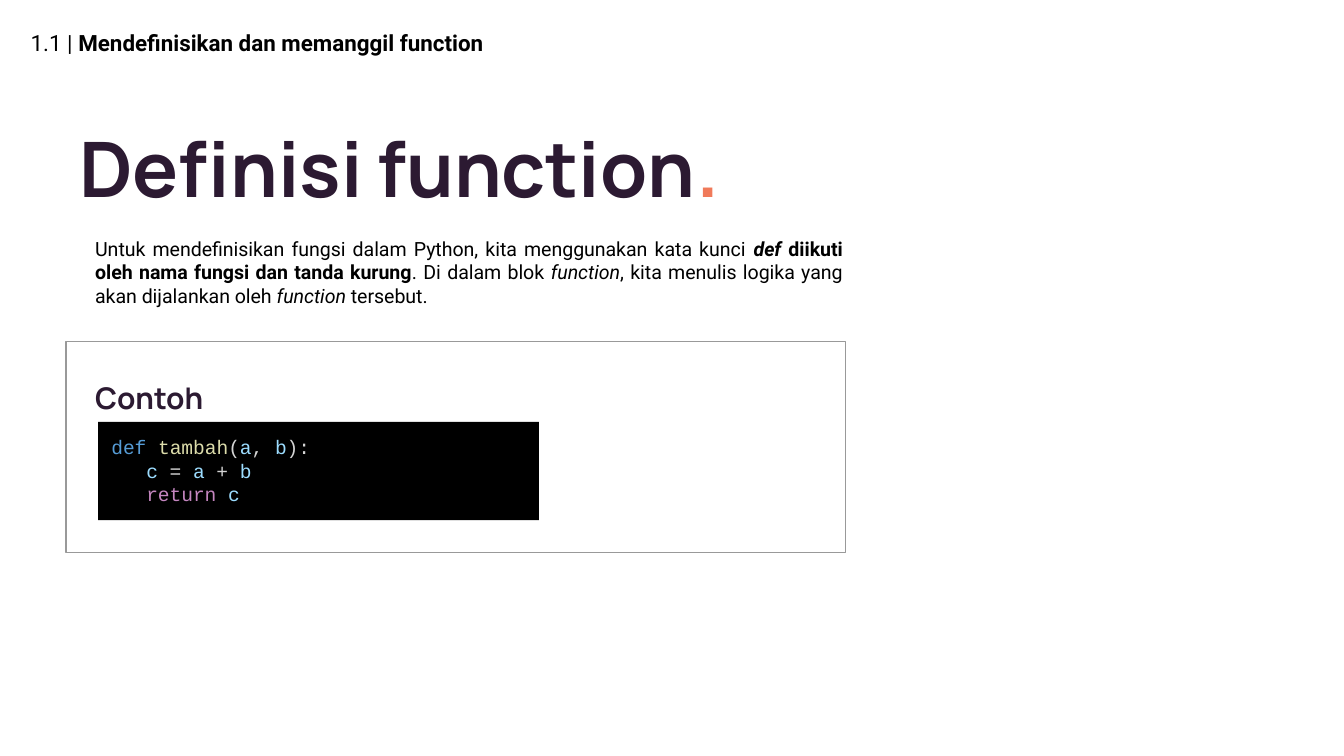
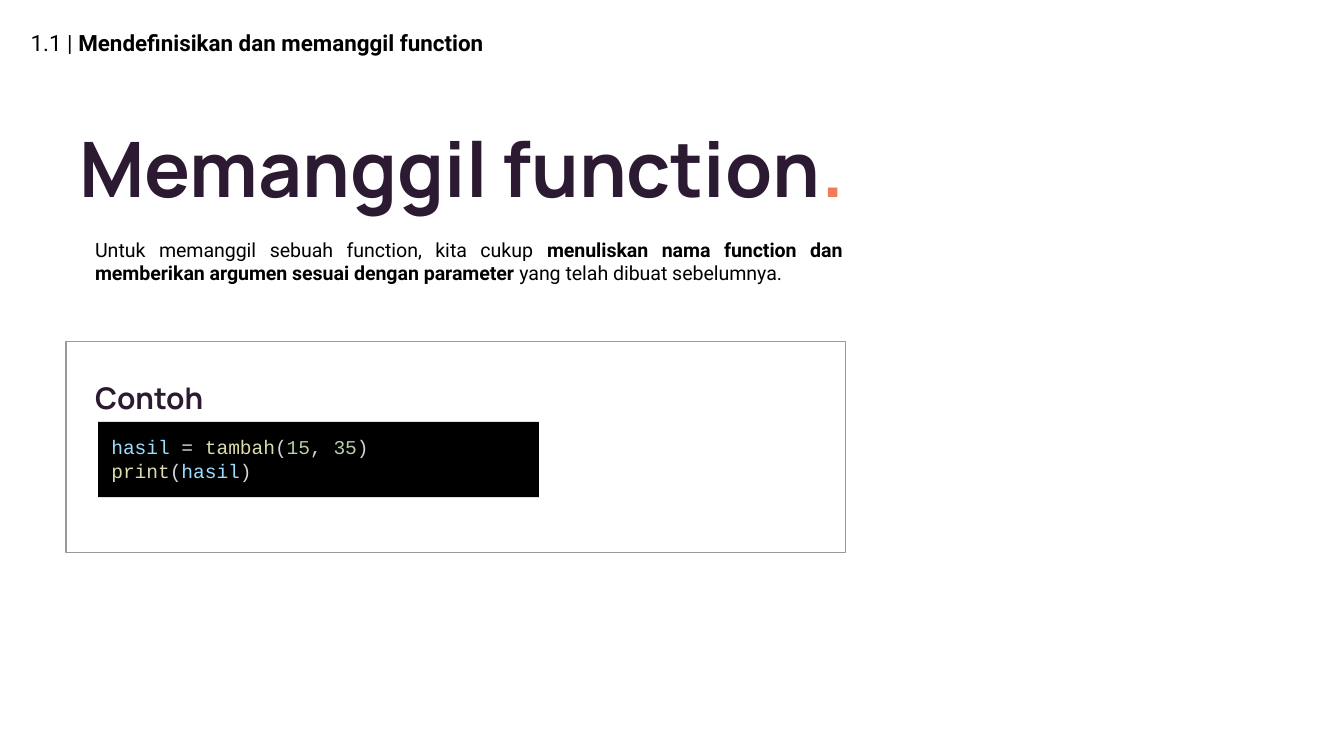
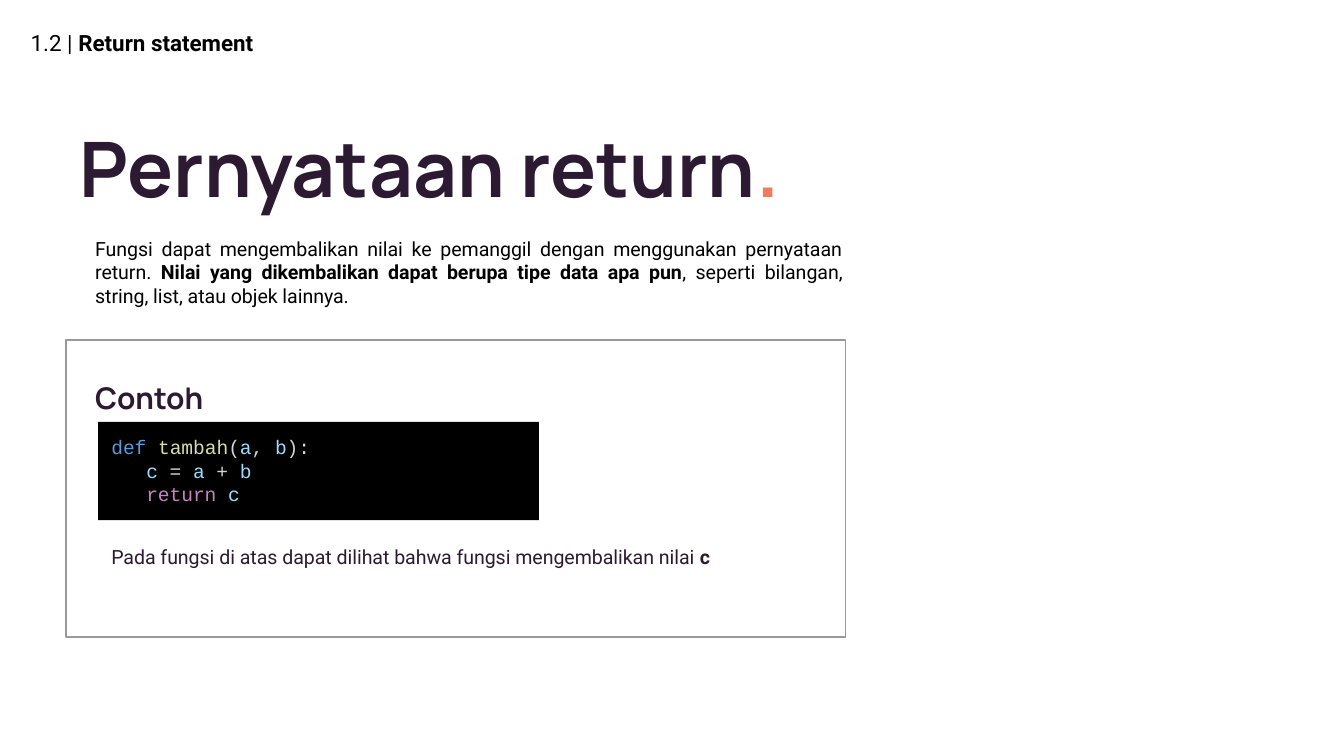
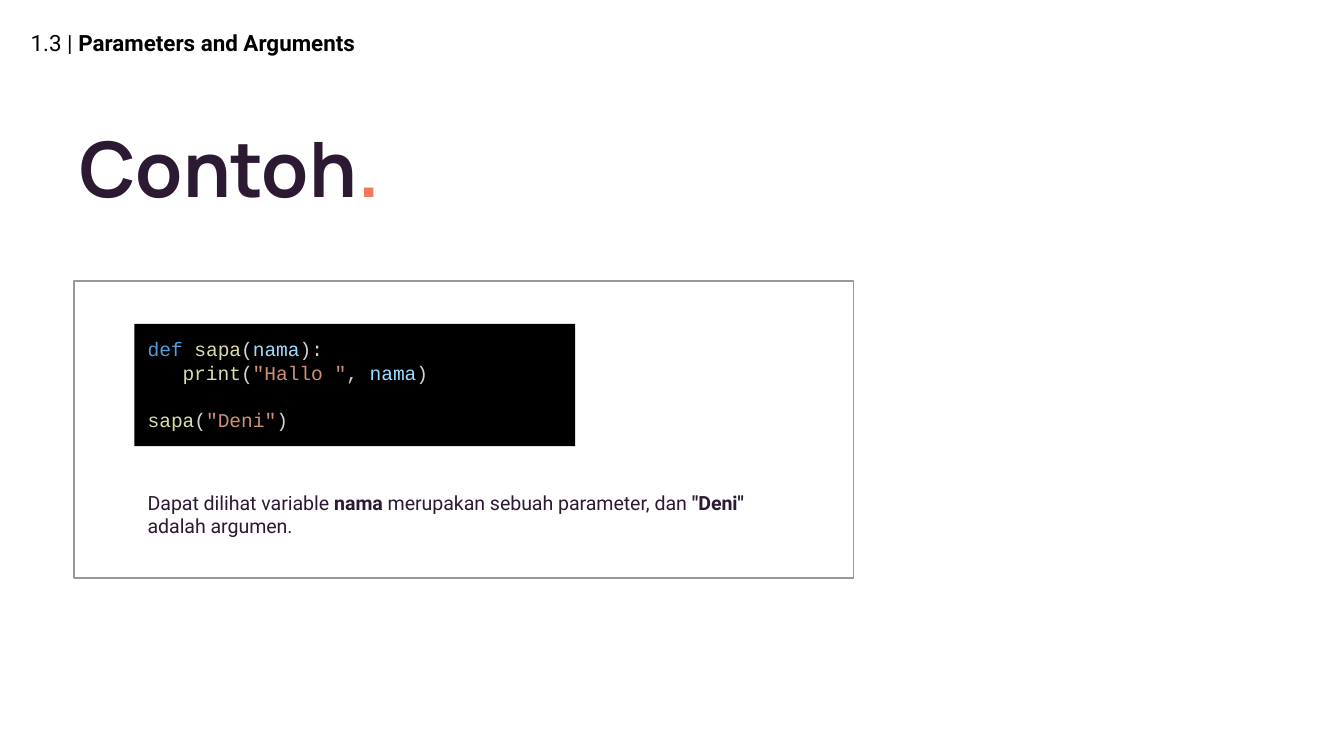
"""Build four slides on defining, calling and returning from Python functions."""
from pptx import Presentation
from pptx import util as u
from pptx.dml.color import RGBColor
from pptx.enum import shapes, text

BLACK = RGBColor(0, 0, 0)
PLUM = RGBColor(0x2C, 0x1A, 0x32)
CORAL = RGBColor(0xF0, 0x7A, 0x5A)
GREY = RGBColor(0x99, 0x99, 0x99)
CODE_PLAIN = RGBColor(0xD4, 0xD4, 0xD4)
CODE_KEYWORD = RGBColor(0x56, 0x9C, 0xD6)
CODE_RETURN = RGBColor(0xC5, 0x86, 0xC0)
CODE_FUNCTION = RGBColor(0xDC, 0xDC, 0xAA)
CODE_VARIABLE = RGBColor(0x9C, 0xDC, 0xFE)
CODE_NUMBER = RGBColor(0xB5, 0xCE, 0xA8)
CODE_STRING = RGBColor(0xCE, 0x91, 0x78)

TOKEN_COLOURS = {"def": CODE_KEYWORD, "return": CODE_RETURN}
TOKEN_COLOURS.update(dict.fromkeys(["tambah", "sapa", "print"], CODE_FUNCTION))
TOKEN_COLOURS.update(dict.fromkeys(["a", "b", "c", "hasil", "nama"], CODE_VARIABLE))
TOKEN_COLOURS.update(dict.fromkeys(["15", "35"], CODE_NUMBER))
TOKEN_COLOURS.update(dict.fromkeys(['"Hallo "', '"Deni"'], CODE_STRING))

INDENT = u.Inches(0.26)
CODE_LINE = u.Pt(12.6)
ADD_CODE = [
    (0, 0, ["def", " ", "tambah", "(", "a", ", ", "b", "):"]),
    (INDENT, 0, ["c", " = ", "a", " + ", "b"]),
    (INDENT, 0, ["return", " ", "c"]),
]
CALL_CODE = [
    (0, 0, ["hasil", " = ", "tambah", "(", "15", ", ", "35", ")"]),
    (0, 0, ["print", "(", "hasil", ")"]),
]
GREET_CODE = [
    (0, 0, ["def", " ", "sapa", "(", "nama", "):"]),
    (INDENT, 0, ["print", "(", '"Hallo "', ", ", "nama", ")"]),
    (0, CODE_LINE, ["sapa", "(", '"Deni"', ")"]),
]

PAGES = [
    {
        "section": ("1.1 |", " Mendefinisikan dan memanggil function"),
        "title": "Definisi function",
        "frame": (0.49, 2.54, 5.8, 1.57),
        "intro_top": 1.66,
        "intro": [
            ("Untuk mendefinisikan fungsi dalam Python, kita menggunakan kata kunci ", ""),
            ("def ", "bi"),
            ("diikuti oleh nama fungsi dan tanda kurung", "b"),
            (". Di dalam blok ", ""),
            ("function", "i"),
            (", kita menulis logika yang akan dijalankan oleh ", ""),
            ("function", "i"),
            (" tersebut.", ""),
        ],
        "code": ADD_CODE,
        "code_box": (0.73, 3.14, 3.28, 0.73),
    },
    {
        "section": ("1.1 |", " Mendefinisikan dan memanggil function"),
        "title": "Memanggil function",
        "frame": (0.49, 2.54, 5.8, 1.57),
        "intro_top": 1.67,
        "intro": [
            ("Untuk memanggil sebuah function, kita cukup ", ""),
            ("menuliskan nama function dan memberikan argumen sesuai dengan parameter", "b"),
            (" yang telah dibuat sebelumnya.", ""),
        ],
        "code": CALL_CODE,
        "code_box": (0.73, 3.14, 3.28, 0.56),
    },
    {
        "section": ("1.2 |", " Return statement"),
        "title": "Pernyataan return",
        "frame": (0.49, 2.53, 5.8, 2.21),
        "intro_top": 1.66,
        "intro": [
            ("Fungsi dapat mengembalikan nilai ke pemanggil dengan menggunakan "
             "pernyataan return. ", ""),
            ("Nilai yang dikembalikan dapat berupa tipe data apa pun", "b"),
            (", seperti bilangan, string, list, atau objek lainnya.", ""),
        ],
        "code": ADD_CODE,
        "code_box": (0.73, 3.14, 3.28, 0.73),
        "remark_box": (0.73, 3.97, 4.99, 0.38),
        "remark": [
            ("Pada fungsi di atas dapat dilihat bahwa fungsi mengembalikan nilai ", ""),
            ("c", "b"),
        ],
    },
    {
        "section": ("1.3 |", " Parameters and Arguments"),
        "title": "Contoh",
        "frame": (0.55, 2.09, 5.8, 2.21),
        "code": GREET_CODE,
        "code_box": (1, 2.41, 3.28, 0.91),
        "remark_box": (1, 3.55, 4.99, 0.56),
        "remark": [
            ("Dapat dilihat variable ", ""),
            ("nama", "b"),
            (" merupakan sebuah parameter, dan ", ""),
            ('"Deni"', "b"),
            (" adalah argumen.", ""),
        ],
    },
]


def set_frame(box, anchor, grow=False):
    """Give a box even insets, wrapping and an anchor, and return its text frame."""
    frame = box.text_frame
    frame.margin_left = frame.margin_right = u.Inches(0.1)
    frame.margin_top = frame.margin_bottom = u.Inches(0.1)
    frame.word_wrap = True
    frame.vertical_anchor = anchor
    fit = text.MSO_AUTO_SIZE
    frame.auto_size = fit.SHAPE_TO_FIT_TEXT if grow else fit.NONE
    return frame


def write(para, spans, font, size, colour):
    """Write (text, style) spans, where a style may hold b for bold and i for italic."""
    para.font.name = font
    para.font.size = u.Pt(size)
    para.font.color.rgb = colour
    for words, style in spans:
        span = para.add_run()
        span.text = words
        span.font.name = font
        span.font.size = u.Pt(size)
        span.font.color.rgb = colour
        span.font.bold = "b" in style
        span.font.italic = "i" in style


deck = Presentation()
deck.slide_width = u.Inches(10)
deck.slide_height = deck.slide_width * 9 // 16
TOP, MIDDLE = text.MSO_ANCHOR.TOP, text.MSO_ANCHOR.MIDDLE

for content in PAGES:
    page = deck.slides.add_slide(deck.slide_layouts[5])

    border = page.shapes.add_shape(
        shapes.MSO_SHAPE.RECTANGLE, *map(u.Inches, content["frame"]))
    border.shadow.inherit = False
    border.fill.background()
    border.line.color.rgb = GREY
    border.line.width = u.Pt(0.75)

    section = page.shapes.add_textbox(*map(u.Inches, (0.13, 0.07, 4.56, 0.5)))
    number, name = content["section"]
    write(set_frame(section, MIDDLE).paragraphs[0],
          [(number, ""), (name, "b")], "Roboto", 12, BLACK)

    title = page.shapes.title
    title.left, title.top, title.width, title.height = map(
        u.Inches, (0.49, 0.52, 7.6, 1.57))
    para = set_frame(title, MIDDLE).paragraphs[0]
    para.alignment = text.PP_ALIGN.LEFT
    para.line_spacing = 0.8
    write(para, [(content["title"], "b"), (".", "b")], "Manrope", 41, PLUM)
    para.runs[-1].font.color.rgb = CORAL

    if "intro" in content:
        intro = page.shapes.add_textbox(
            *map(u.Inches, (0.61, content["intro_top"], 5.76, 0.73)))
        para = set_frame(intro, TOP, grow=True).paragraphs[0]
        para.alignment = text.PP_ALIGN.JUSTIFY
        write(para, content["intro"], "Roboto", 10.5, BLACK)

        heading = page.shapes.add_textbox(*map(u.Inches, (0.61, 2.71, 4.56, 0.54)))
        para = set_frame(heading, MIDDLE).paragraphs[0]
        para.line_spacing = 0.8
        write(para, [("Contoh", "b")], "Manrope", 16, PLUM)

    code = page.shapes.add_shape(
        shapes.MSO_SHAPE.RECTANGLE, *map(u.Inches, content["code_box"]))
    code.shadow.inherit = False
    code.fill.solid()
    code.fill.fore_color.rgb = BLACK
    code.line.fill.background()
    frame = set_frame(code, TOP, grow=True)
    for row, (indent, gap, tokens) in enumerate(content["code"]):
        para = frame.add_paragraph() if row else frame.paragraphs[0]
        para.alignment = text.PP_ALIGN.LEFT
        para.space_before = gap
        para._p.get_or_add_pPr().set("marL", str(indent))
        write(para, [(token, "") for token in tokens], "Courier New", 10.5, CODE_PLAIN)
        for span in para.runs:
            span.font.color.rgb = TOKEN_COLOURS.get(span.text, CODE_PLAIN)

    if "remark" in content:
        remark = page.shapes.add_textbox(*map(u.Inches, content["remark_box"]))
        write(set_frame(remark, TOP, grow=True).paragraphs[0],
              content["remark"], "Roboto", 10.5, PLUM)

deck.save("out.pptx")
